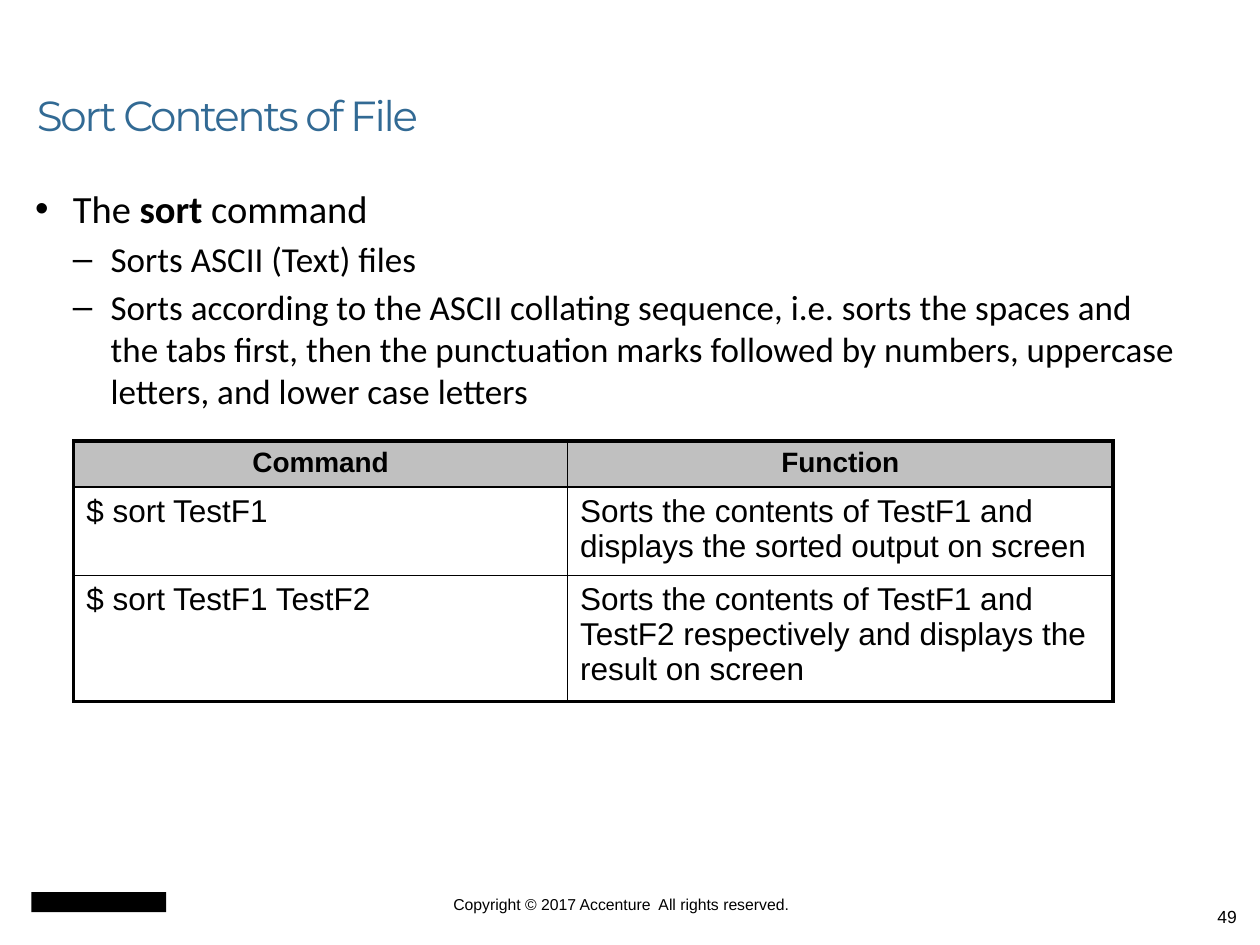
import pptx
import pptx.dml.color
import pptx.enum.shapes
import pptx.enum.text
import pptx.oxml
import pptx.oxml.ns
import pptx.util

RGBColor = pptx.dml.color.RGBColor
ALIGN = pptx.enum.text.PP_ALIGN
ANCHOR = pptx.enum.text.MSO_ANCHOR

BLACK = RGBColor(0x00, 0x00, 0x00)
WHITE = RGBColor(0xFF, 0xFF, 0xFF)
BLUE = RGBColor(0x32, 0x6A, 0x94)
GREY = RGBColor(0xC0, 0xC0, 0xC0)

WIDTH, HEIGHT = pptx.util.Inches(10), pptx.util.Inches(7.5)
COLUMNS, ROWS = 40, 30
INSET = (0.4, 0.2)
THICK, THIN = 2.25, 1

POINTS = [
    (0, 22, [("The ", False), ("sort", True), (" command", False)]),
    (1, 20, [("Sorts ASCII (Text) files", False)]),
    (1, 20, [("Sorts according to the ASCII collating sequence, i.e. sorts the "
              "spaces and the tabs first, then the punctuation marks followed by "
              "numbers, uppercase letters, and lower case letters", False)]),
]
COMMANDS = [
    ("Command", "Function"),
    ("$ sort TestF1",
     "Sorts the contents of TestF1 and displays the sorted output on screen"),
    ("$ sort TestF1 TestF2",
     "Sorts the contents of TestF1 and TestF2 respectively and displays the "
     "result on screen"),
]
COLUMN_SPANS = [15.68, 17.32]
ROW_SPANS = [1.24, 2.8, 1.88]


def col(n):
    return int(WIDTH * n / COLUMNS)


def row(n):
    return int(HEIGHT * n / ROWS)


def add_text_frame(s, box, inset=INSET):
    x, y, w, h = box
    tf = s.shapes.add_textbox(col(x), row(y), col(w), row(h)).text_frame
    tf.word_wrap = True
    tf.margin_left = tf.margin_right = col(inset[0])
    tf.margin_top = tf.margin_bottom = row(inset[1])
    return tf


def add_run(p, text, size, font, color=BLACK, bold=False):
    r = p.add_run()
    r.text = text
    r.font.size = pptx.util.Pt(size)
    r.font.name = font
    r.font.bold = bold
    r.font.color.rgb = color
    return r


def set_bullet(p, char, level):
    pPr = p._p.get_or_add_pPr()
    pPr.set("marL", str(col(1.2 * (level + 1))))
    pPr.set("indent", str(-col(1.2)))
    ns = pptx.oxml.ns.nsdecls("a")
    for xml in (f'<a:buClr {ns}><a:srgbClr val="{BLACK}"/></a:buClr>',
                f'<a:buFont {ns} typeface="Arial"/>',
                f'<a:buChar {ns} char="{char}"/>'):
        pPr.append(pptx.oxml.parse_xml(xml))


def set_borders(cell, widths):
    tcPr = cell._tc.get_or_add_tcPr()
    ns = pptx.oxml.ns.nsdecls("a")
    for i, (side, width) in enumerate(zip("LRTB", widths)):
        tcPr.insert(i, pptx.oxml.parse_xml(
            f'<a:ln{side} {ns} w="{pptx.util.Pt(width)}"><a:solidFill>'
            f'<a:srgbClr val="{BLACK}"/></a:solidFill></a:ln{side}>'))


def add_brand_bar(s, box):
    x, y, w, h = box
    sp = s.shapes.add_shape(pptx.enum.shapes.MSO_SHAPE.RECTANGLE,
                            col(x), row(y), col(w), row(h))
    sp.shadow.inherit = False
    sp.fill.solid()
    sp.fill.fore_color.rgb = BLACK
    sp.line.fill.background()


def add_title(s, box):
    tf = add_text_frame(s, box)
    tf.vertical_anchor = ANCHOR.BOTTOM
    p = tf.paragraphs[0]
    p.line_spacing = 0.9
    r = add_run(p, "Sort Contents of File", 24, "Montserrat", BLUE)
    r._r.get_or_add_rPr().set("spc", "-130")


def add_body(s, box):
    tf = add_text_frame(s, box)
    for i, (level, size, runs) in enumerate(POINTS):
        p = tf.add_paragraph() if i else tf.paragraphs[0]
        p.level = level
        set_bullet(p, "•–"[level], level)
        if i:
            p.space_before = pptx.util.Pt(size * 0.18)
        for text, bold in runs:
            add_run(p, text, size, "Calibri", bold=bold)


def add_command_table(s, box):
    x, y, w, h = box
    table = s.shapes.add_table(len(ROW_SPANS), len(COLUMN_SPANS),
                               col(x), row(y), col(w), row(h)).table
    for column, span in zip(table.columns, COLUMN_SPANS):
        column.width = col(span)
    for table_row, span in zip(table.rows, ROW_SPANS):
        table_row.height = row(span)
    last_row, last_col = len(ROW_SPANS) - 1, len(COLUMN_SPANS) - 1
    for i, texts in enumerate(COMMANDS):
        header = i == 0
        for j, text in enumerate(texts):
            cell = table.cell(i, j)
            cell.fill.solid()
            cell.fill.fore_color.rgb = GREY if header else WHITE
            edges = (j == 0, j == last_col, header, i == last_row)
            set_borders(cell, [THICK if edge else THIN for edge in edges])
            p = cell.text_frame.paragraphs[0]
            p.alignment = ALIGN.CENTER if header else ALIGN.LEFT
            add_run(p, text, 16 if header else 18, "Arial", bold=header)


def add_footer_text(s, box, text, size, alignment, inset):
    p = add_text_frame(s, box, inset).paragraphs[0]
    p.alignment = alignment
    add_run(p, text, size, "Arial")


def main():
    prs = pptx.Presentation()
    prs.slide_width, prs.slide_height = WIDTH, HEIGHT
    s = prs.slides.add_slide(prs.slide_layouts[6])
    add_brand_bar(s, (1, 28.32, 4.28, 0.64))
    add_footer_text(s, (11, 28.4, 17.44, 0.6),
                    "Copyright © 2017 Accenture  All rights reserved.",
                    9, ALIGN.CENTER, (0, 0))
    add_footer_text(s, (30.34, 28.58, 9.32, 1.42), "49", 10, ALIGN.RIGHT, INSET)
    add_title(s, (0.78, 0.66, 35.68, 4))
    add_body(s, (0.72, 5.68, 37.28, 21))
    add_command_table(s, (2.34, 14, sum(COLUMN_SPANS), 8.24))
    prs.save("out.pptx")


if __name__ == "__main__":
    main()
